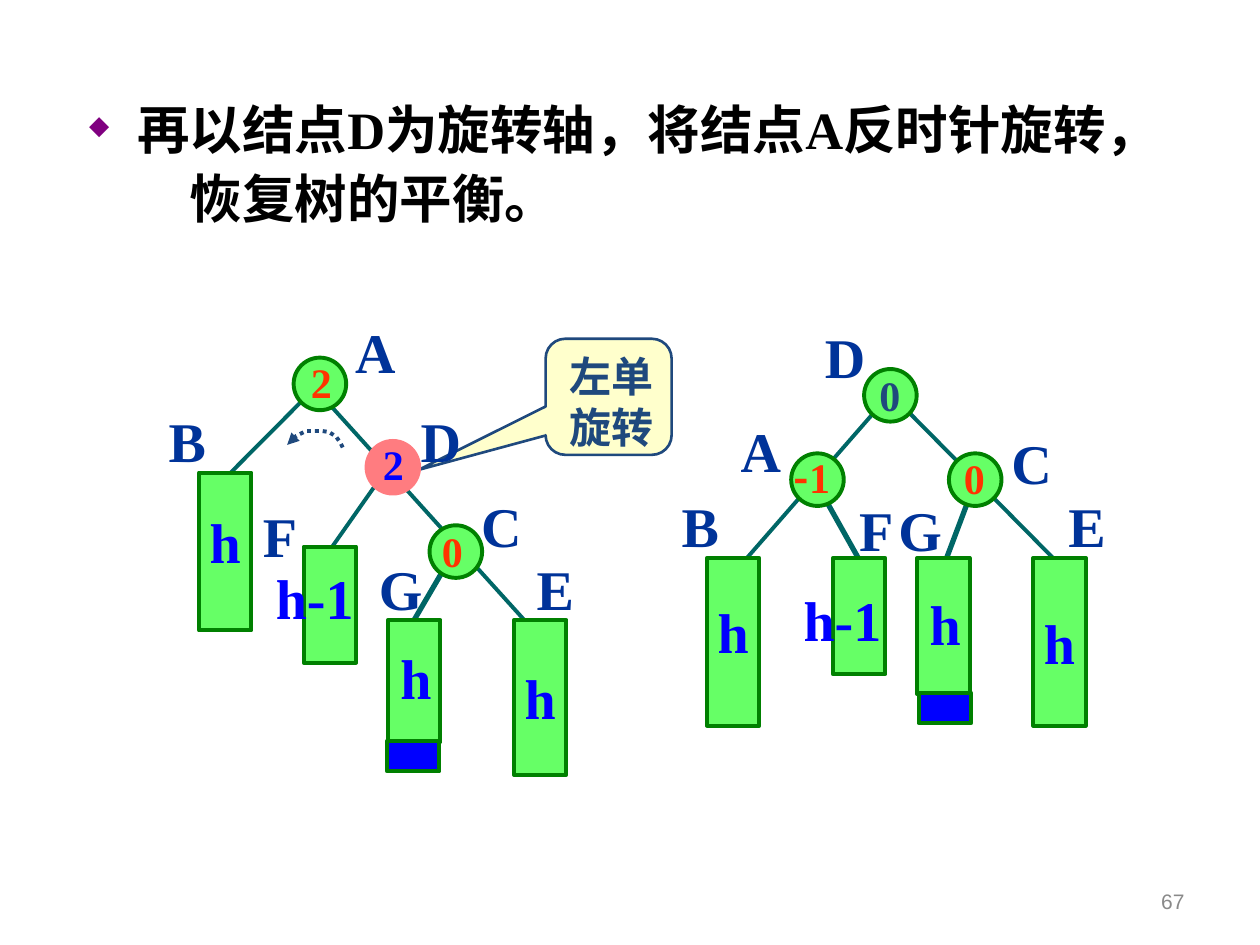
from lxml.etree import SubElement
from pptx import Presentation
from pptx.dml.color import RGBColor
from pptx.enum.dml import MSO_LINE as Dash
from pptx.enum.shapes import MSO_CONNECTOR as Link, MSO_SHAPE as Kind
from pptx.enum.text import MSO_ANCHOR as Anchor, PP_ALIGN as Align
from pptx.oxml.ns import qn
from pptx.util import Cm, Pt

SERIF, HAN = "Times New Roman", "Noto Sans CJK SC"
NAVY, BLUE, RED, STEEL = "003399", "0000FF", "FF3300", "1F497D"
GREEN, EDGE, PINK, TEAL = "66FF66", "008000", "FF7C80", "006666"
SIDE = 1.06
WIDE = {"A": 1.32, "B": 1.24, "C": 1.32, "D": 1.32, "E": 1.24, "F": 1.19,
        "G": 1.37, "h": 1.14, "h-1": 2.08, "0": 0.91, "2": 0.91, "-": 1.42}

LEFT = {
    "lines": [(9.09, 11.23, 8.23, 12.7, 3), (6.12, 8.05, 4.22, 9.96, 2.25),
              (6.55, 8.05, 10.57, 12.5, 2.25), (7.59, 9.75, 6.55, 11.23, 2.25)],
    "bars": [(10.36, 12.5, 3.12, GREEN, "h", 1), (4.01, 9.53, 3.18, GREEN, "h", 0.6),
             (7.82, 12.5, 2.46, GREEN, "", 1), (6.12, 11.02, 2.34, GREEN, "", 1),
             (7.8, 14.94, 0.61, BLUE, "", 1)],
    "nodes": [(7.39, 8.89, PINK, PINK), (5.92, 7.21, GREEN, EDGE),
              (8.66, 10.59, GREEN, EDGE)],
    "names": [("A", 6.91, 6.27), ("B", 3.15, 8.08), ("C", 9.45, 9.78), ("D", 8.23, 8.08),
              ("E", 10.57, 11.05), ("F", 5.05, 9.98), ("G", 7.39, 11.05)],
    "sizes": [("h-1", 5.31, 11.23), ("h", 7.82, 12.85)],
    "marks": [("0", 8.66, 10.46, RED), ("2", 6.02, 7.06, RED), ("2", 7.47, 8.71, BLUE)],
}
RIGHT = {
    "lines": [(19.56, 9.98, 18.92, 11.68, 3), (18.29, 8.28, 21.23, 11.25, 2.25),
              (17.65, 8.28, 14.68, 11.68, 2.25), (16.59, 9.98, 17.42, 11.46, 3)],
    "bars": [(20.83, 11.25, 3.38, GREEN, "h", 1), (14.25, 11.25, 3.38, GREEN, "h", 0.6),
             (18.49, 11.25, 2.74, GREEN, "", 1), (16.79, 11.25, 2.34, GREEN, "", 1),
             (18.52, 13.97, 0.61, BLUE, "", 1)],
    "nodes": [(15.95, 9.14, GREEN, EDGE), (17.42, 7.44, GREEN, EDGE),
              (19.13, 9.14, GREEN, EDGE)],
    "names": [("A", 14.68, 8.28), ("B", 13.49, 9.78), ("C", 20.14, 8.51), ("D", 16.38, 6.38),
              ("E", 21.29, 9.78), ("F", 17.07, 9.86), ("G", 17.86, 9.86)],
    "sizes": [("h-1", 15.95, 11.68), ("h", 18.49, 11.76)],
    "marks": [("0", 19.18, 8.99, RED), ("0", 17.48, 7.32, STEEL)],
}
ARC = [(6.91, 9.02), (6.86, 8.92), (6.78, 8.81), (6.71, 8.76), (6.63, 8.71), (6.5, 8.69),
       (6.4, 8.69), (6.3, 8.69), (6.17, 8.69), (6.07, 8.74), (5.97, 8.79), (5.84, 8.94),
       (5.79, 8.97)]


def tint(code):
    """Return the colour of a hex string."""
    return RGBColor.from_string(code)


def assign(item, form):
    """Set each attribute in a dict of format values."""
    for key, val in form.items():
        setattr(item, key, val)


def add_run(par, text, size, hue, face=SERIF, bold=True):
    """Append a formatted run to a paragraph."""
    run = par.add_run()
    run.text = text
    assign(run.font, {"size": Pt(size), "name": face, "bold": bold})
    run.font.color.rgb = tint(hue)
    SubElement(run._r.get_or_add_rPr(), qn("a:ea"), typeface=HAN)


def add_text(slide, text, x, y, w, h, size, hue, wrap=False, **font):
    """Add a text box with one paragraph and return that paragraph."""
    box = slide.shapes.add_textbox(Cm(x), Cm(y), Cm(w), Cm(h))
    box.text_frame.word_wrap = wrap
    par = box.text_frame.paragraphs[0]
    add_run(par, text, size, hue, **font)
    return par


def add_form(slide, kind, x, y, w, h, fill, edge, width=2.25):
    """Add a filled and outlined preset shape."""
    form = slide.shapes.add_shape(kind, Cm(x), Cm(y), Cm(w), Cm(h))
    form.shadow.inherit = False
    form.fill.solid()
    form.fill.fore_color.rgb = tint(fill)
    form.line.color.rgb = tint(edge)
    form.line.width = Pt(width)
    return form


def add_bar(slide, x, y, h, fill, text, space):
    """Add a subtree bar, with its height label if it has one."""
    bar = add_form(slide, Kind.RECTANGLE, x, y, SIDE, h, fill, EDGE)
    if text:
        frame = bar.text_frame
        assign(frame, {"word_wrap": False, "vertical_anchor": Anchor.MIDDLE})
        par = frame.paragraphs[0]
        assign(par, {"alignment": Align.CENTER, "line_spacing": space})
        add_run(par, text, 32, BLUE)


def add_line(slide, x, y, right, low, width):
    """Add a tree branch."""
    line = slide.shapes.add_connector(Link.STRAIGHT, Cm(x), Cm(y), Cm(right), Cm(low))
    line.line.color.rgb = tint(TEAL)
    line.line.width = Pt(width)
    SubElement(line._element.spPr, qn("a:effectLst"))


def add_tree(slide, tree):
    """Draw one tree from its table of parts."""
    for part in tree["lines"]:
        add_line(slide, *part)
    for part in tree["bars"]:
        add_bar(slide, *part)
    for x, y, fill, edge in tree["nodes"]:
        add_form(slide, Kind.OVAL, x, y, SIDE, SIDE, fill, edge)
    for key, hue in (("names", NAVY), ("sizes", BLUE)):
        for text, x, y in tree[key]:
            add_text(slide, text, x, y, WIDE[text], 1.63, 32, hue)
    for text, x, y, hue in tree["marks"]:
        add_text(slide, text, x, y, WIDE[text], 1.27, 24, hue)


def add_note(slide):
    """Add the callout that names the rotation."""
    note = add_form(slide, Kind.ROUNDED_RECTANGULAR_CALLOUT, 11, 6.83, 2.54, 2.34,
                    "FFFFCC", STEEL, 1.5)
    for i, val in enumerate((-1.51, 0.63, 0.17)):
        note.adjustments[i] = val
    frame = note.text_frame
    assign(frame, {"word_wrap": True, "vertical_anchor": Anchor.TOP,
                   "margin_left": Cm(0.36), "margin_right": 0})
    for i, text in enumerate(("左单", "旋转")):
        par = frame.add_paragraph() if i else frame.paragraphs[0]
        par.alignment = Align.LEFT
        add_run(par, text, 24, STEEL)


def add_arc(slide):
    """Add the dotted arrow that shows the turn."""
    pen = slide.shapes.build_freeform(Cm(ARC[0][0]), Cm(ARC[0][1]))
    pen.add_line_segments([(Cm(x), Cm(y)) for x, y in ARC[1:]], close=False)
    arc = pen.convert_to_shape()
    arc.shadow.inherit = False
    arc.fill.background()
    arc.line.color.rgb = tint(STEEL)
    assign(arc.line, {"width": Pt(2.25), "dash_style": Dash.ROUND_DOT})
    SubElement(arc.line._get_or_add_ln(), qn("a:tailEnd"), type="triangle")


def add_point(slide):
    """Add the bulleted statement at the top."""
    par = add_text(slide, "再以结点D为旋转轴，将结点A反时针旋转，　恢复树的平衡。",
                   1.55, 1.7, 22.86, 4.19, 30, "000000", wrap=True)
    par.line_spacing = 1.1
    props = par._p.get_or_add_pPr()
    props.set("marL", str(Cm(0.97)))
    props.set("indent", str(Cm(-0.97)))
    SubElement(SubElement(props, qn("a:buClr")), qn("a:srgbClr"), val="800080")
    SubElement(props, qn("a:buSzPct"), val="50000")
    SubElement(props, qn("a:buChar"), char="◆")


def main():
    """Build the slide and save it."""
    deck = Presentation()
    assign(deck, {"slide_width": Cm(25.4), "slide_height": Cm(19.05)})
    slide = deck.slides.add_slide(deck.slide_layouts[6])
    page = add_text(slide, "67", 18.21, 17.65, 5.92, 1.02, 12, "898989",
                    wrap=True, face="Arial", bold=False)
    page.alignment = Align.RIGHT
    slide.shapes[0].text_frame.vertical_anchor = Anchor.MIDDLE
    add_tree(slide, RIGHT)
    sign = add_text(slide, "-", 15.75, 8.97, WIDE["-"], 1.27, 24, RED, face=HAN)
    add_run(sign, "1", 24, RED)
    add_note(slide)
    add_tree(slide, LEFT)
    add_arc(slide)
    add_point(slide)
    deck.save("out.pptx")


if __name__ == "__main__":
    main()
